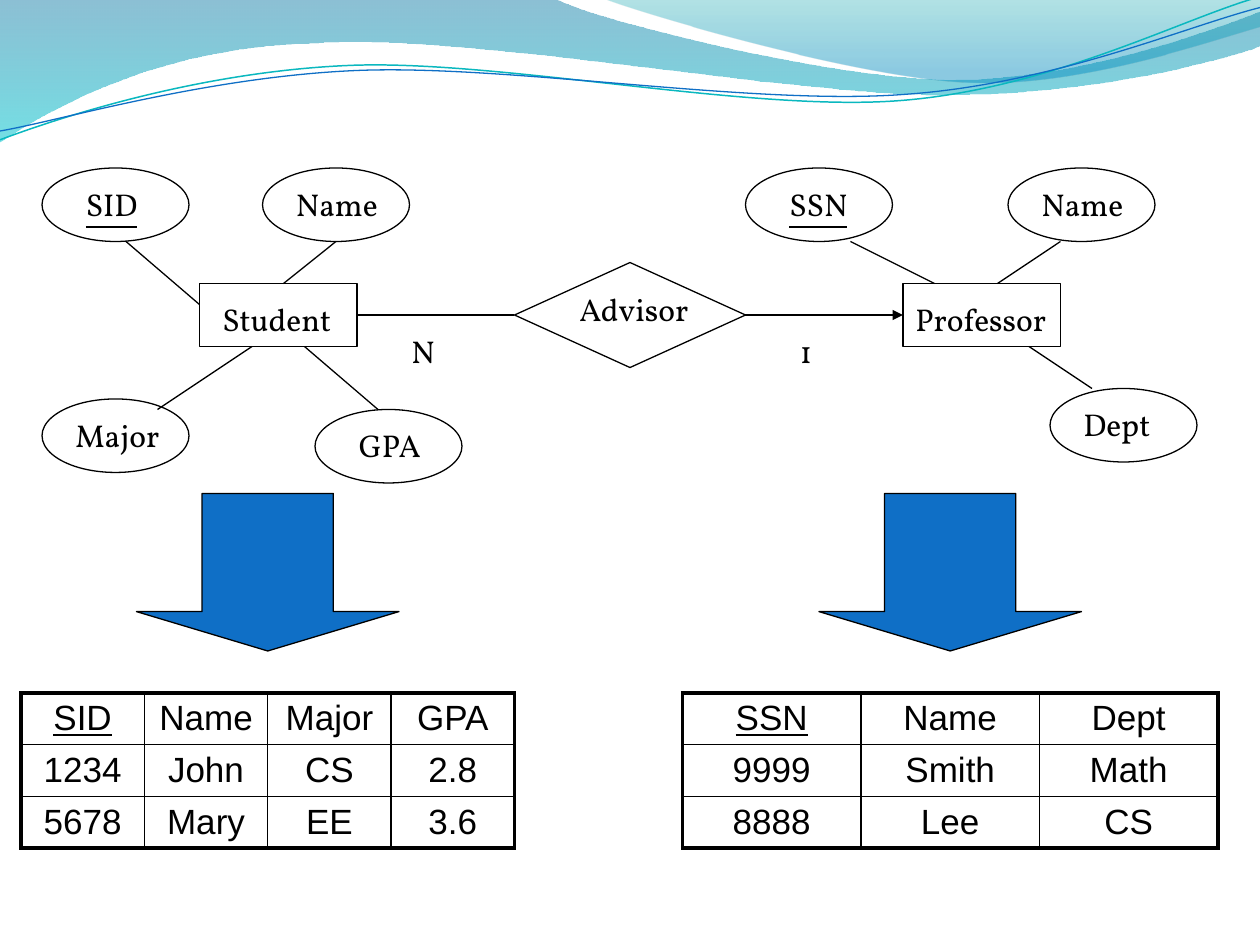
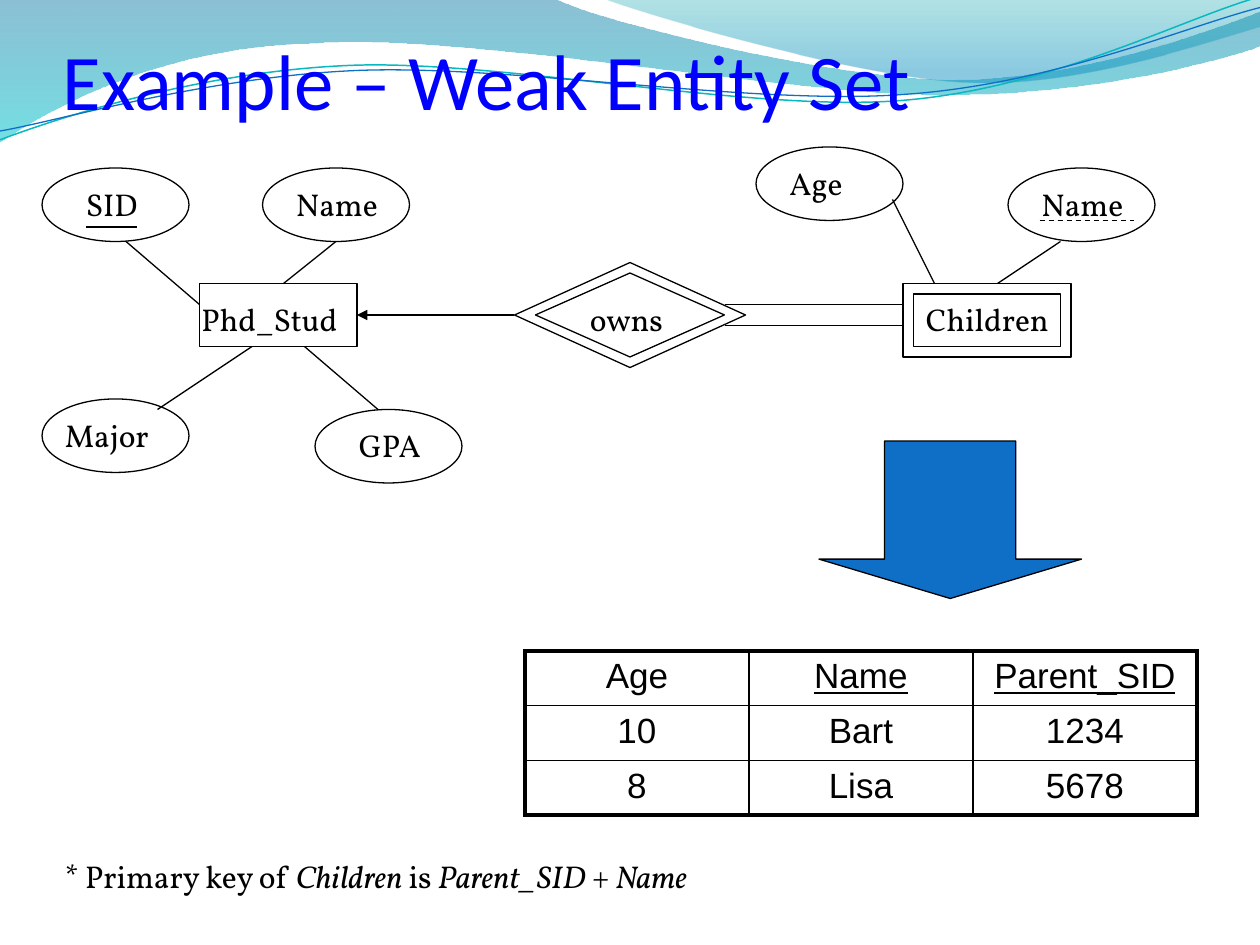
from collections import namedtuple
from lxml.etree import SubElement
from pptx import Presentation
from pptx.dml.color import RGBColor
from pptx.enum.dml import MSO_LINE
from pptx.enum.shapes import MSO_CONNECTOR, MSO_SHAPE
from pptx.enum.text import MSO_ANCHOR, MSO_AUTO_SIZE, PP_ALIGN
from pptx.oxml.ns import qn
from pptx.util import Inches, Pt

Style = namedtuple("Style", "font size color")
Theme = namedtuple("Theme", "ink paper blue teal thin thick title label cell")
theme = Theme(
    ink="000000", paper="FFFFFF", blue="0F6FC6", teal="0AB8BF",
    thin=0.75, thick=2.25,
    title=Style("Calibri", 45, "0000FF"),
    label=Style("Vollkorn", 18, "000000"),
    cell=Style("Arial", 20, "000000"),
)

waves = [
    ((0, 0), [
        (4.4, -0.01), (4.76, 0.17, 6.64, 0.63, 7.58, 0.63),
        (8.53, 0.63, 9.58, 0.26, 10, 0.09), (10.01, 0.36),
        (9.83, 0.44, 8.7, 0.76, 7.46, 0.75), (6.22, 0.75, 3.82, 0.28, 2.57, 0.34),
        (1.29, 0.36, 0.46, 0.83, -0.01, 1.13), (0, 0)],
     [(0, "0074A1", 45), (1, "00C6CF", 55)], None),
    ((4.79, -0.01), [
        (5.09, 0.11, 6.82, 0.62, 7.69, 0.65), (8.56, 0.69, 9.61, 0.32, 10, 0.21),
        (10, 0), (4.79, -0.01)],
     [(0, "00A1A9", 30), (0.8, "008BBF", 45)], None),
    ((0, 1.11), [
        (0.48, 0.93, 1.58, 0.57, 2.77, 0.52), (3.95, 0.47, 5.93, 0.89, 7.13, 0.8),
        (8.33, 0.71, 9.38, 0.15, 9.98, -0.02)],
     None, (theme.teal, 0.85)),
    ((0, 1.04), [
        (0.47, 0.96, 1.64, 0.61, 2.83, 0.56), (4.03, 0.51, 5.97, 0.84, 7.17, 0.75),
        (8.36, 0.67, 9.41, 0.21, 10, 0.06)],
     None, (theme.blue, 0.75)),
]

oval, rect = MSO_SHAPE.OVAL, MSO_SHAPE.RECTANGLE
gem, arrow = MSO_SHAPE.FLOWCHART_DECISION, MSO_SHAPE.DOWN_ARROW
egg, slab, drop = (1.17, 0.58), (1.25, 0.5), (2.08, 1.25)

shapes = [
    (rect, 1.58, 2.25, *slab), (oval, 2.08, 1.33, *egg), (oval, 0.33, 1.33, *egg),
    (oval, 0.33, 3.17, *egg), (oval, 2.5, 3.25, *egg), (gem, 4.08, 2.08, 1.83, 0.83),
    (oval, 8, 1.33, *egg),
]
lines = [
    (1, 1.92, 1.58, 2.42, ""), (2.67, 1.92, 2.25, 2.25, ""),
    (3, 3.25, 2.42, 2.75, ""), (1.25, 3.25, 2, 2.75, ""),
    (8.42, 1.92, 7.92, 2.25, ""),
]
labels = [
    (0.58, 1.42, 0.83, [("SID", "u")]), (2.25, 1.42, 0.92, [("Name", "")]),
    (2.75, 3.33, 0.75, [("GPA", "")]), (8.17, 1.42, 0.92, [("Name", "")]),
]

pages = [
    dict(
        title=None,
        shapes=[
            (arrow, 1.08, 3.92, *drop), (rect, 7.17, 2.25, *slab),
            (oval, 5.92, 1.33, *egg), (oval, 8.33, 3.08, *egg),
            (arrow, 6.5, 3.92, *drop)],
        lines=[
            (2.83, 2.5, 4.08, 2.5, ""), (5.92, 2.5, 7.17, 2.5, "arrow"),
            (6.75, 1.92, 7.42, 2.25, ""), (8.67, 3.08, 8.17, 2.75, "")],
        labels=[
            (1.67, 2.33, 1.08, [("Student", "")]), (0.5, 3.25, 1.08, [("Major", "")]),
            (4.5, 2.25, 1.08, [("Advisor", "")]), (7.17, 2.33, 1.33, [("Professor", "")]),
            (6.17, 1.42, 0.83, [("SSN", "u")]), (8.5, 3.17, 0.83, [("Dept", "")]),
            (6.25, 2.58, 0.28, [("1", "")]), (3.17, 2.58, 0.37, [("N", "")])],
        tables=[
            (0.17, 5.5, 3.92, ["SID"], [
                ("SID", "Name", "Major", "GPA"),
                ("1234", "John", "CS", "2.8"),
                ("5678", "Mary", "EE", "3.6")]),
            (5.42, 5.5, 4.25, ["SSN"], [
                ("SSN", "Name", "Dept"),
                ("9999", "Smith", "Math"),
                ("8888", "Lee", "CS")])],
    ),
    dict(
        title="Example – Weak Entity Set",
        shapes=[
            (rect, 7.17, 2.25, 1.33, 0.58), (rect, 7.25, 2.33, 1.17, 0.42),
            (oval, 6, 1.17, *egg), (gem, 4.25, 2.17, 1.5, 0.67),
            (arrow, 6.5, 3.5, *drop)],
        lines=[
            (5.75, 2.42, 7.17, 2.42, ""), (5.75, 2.58, 7.17, 2.58, ""),
            (8.25, 1.75, 9, 1.75, "dash"), (7.08, 1.58, 7.42, 2.25, ""),
            (4.08, 2.5, 2.83, 2.5, "arrow")],
        labels=[
            (1.5, 2.33, 1.42, [("Phd_Stud", "")]), (0.43, 3.25, 1, [("Major", "")]),
            (6.17, 1.25, 0.83, [("Age", "")]), (7.25, 2.33, 1.33, [("Children", "")]),
            (4.58, 2.33, 0.83, [("owns", "")]),
            (0.42, 6.75, 9.08, [
                ("* Primary key of ", ""), ("Children", "i"), (" is ", ""),
                ("Parent_SID", "i"), (" + ", ""), ("Name", "i")])],
        tables=[
            (4.17, 5.17, 5.33, ["Name", "Parent_SID"], [
                ("Age", "Name", "Parent_SID"),
                ("10", "Bart", "1234"),
                ("8", "Lisa", "5678")])],
    ),
]


def write(para, runs, style):
    for text, mark in runs:
        run = para.add_run()
        run.text = text
        font = run.font
        font.name, font.size = style.font, Pt(style.size)
        font.color.rgb = RGBColor.from_string(style.color)
        if mark == "u":
            font.underline = True
        if mark == "i":
            font.italic = True


def ink(line, color, width):
    line.color.rgb = RGBColor.from_string(color)
    line.width = Pt(width)


deck = Presentation()
deck.slide_width, deck.slide_height = Inches(10), Inches(7.5)
blank = deck.slide_layouts[6]
slides = [deck.slides.add_slide(blank) for page in pages]

for start, parts, stops, stroke in waves:
    spots = [part[n:n + 2] for part in parts for n in range(0, len(part), 2)]
    trail = slides[0].shapes.build_freeform(*map(Inches, start))
    trail.add_line_segments([tuple(map(Inches, spot)) for spot in spots], close=bool(stops))
    wave = trail.convert_to_shape()
    props = wave._element.spPr
    steps = iter(list(props.iter(qn("a:lnTo"))))
    for part in parts:
        step = next(steps)
        if len(part) == 6:
            curve = SubElement(step.getparent(), qn("a:cubicBezTo"))
            step.addprevious(curve)
            for knot in (step, next(steps), next(steps)):
                curve.append(knot[0])
                knot.getparent().remove(knot)
    wave.shadow.inherit = False
    if stops:
        wave.line.fill.background()
        wave.fill.gradient()
        wave.fill.gradient_angle = 270
        for stop, (place, color, alpha) in zip(wave.fill.gradient_stops, stops):
            stop.position = place
            stop.color.rgb = RGBColor.from_string(color)
        for tint, (place, color, alpha) in zip(props.iter(qn("a:srgbClr")), stops):
            SubElement(tint, qn("a:alpha"), val=str(alpha * 1000))
    else:
        wave.fill.background()
        ink(wave.line, *stroke)
    blank.shapes._spTree.append(wave._element)

for slide, page in zip(slides, pages):
    tree = slide.shapes

    if page["title"]:
        box = tree.add_textbox(Inches(0.5), Inches(0.17), Inches(9), Inches(0.83))
        frame = box.text_frame
        frame.word_wrap, frame.vertical_anchor = True, MSO_ANCHOR.BOTTOM
        frame.margin_left = frame.margin_right = frame.margin_bottom = 0
        write(frame.paragraphs[0], [(page["title"], "")], theme.title)

    for *box, keys, rows in page["tables"]:
        left, top, wide = [Inches(round(v * 12) / 12) for v in box]
        count = len(rows[0])
        holder = tree.add_table(len(rows), count, left, top, wide, Inches(1.3))
        grid = holder.table
        grid.first_row = grid.horz_banding = False
        for r, row in enumerate(rows):
            grid.rows[r].height = Inches(0.36)
            for c, text in enumerate(row):
                cell = grid.cell(r, c)
                if r == 1:
                    cell.fill.solid()
                    cell.fill.fore_color.rgb = RGBColor.from_string(theme.paper)
                else:
                    cell.fill.background()
                para = cell.text_frame.paragraphs[0]
                para.alignment = PP_ALIGN.CENTER
                write(para, [(text, "u" if text in keys and r == 0 else "")], theme.cell)
                props = cell._tc.get_or_add_tcPr()
                edges = (("L", c == 0), ("R", c == count - 1),
                         ("T", r == 0), ("B", r == len(rows) - 1))
                for spot, (side, outer) in enumerate(edges):
                    width = Pt(theme.thick if outer else 1)
                    edge = SubElement(props, qn("a:ln" + side), w=str(width))
                    fill = SubElement(edge, qn("a:solidFill"))
                    SubElement(fill, qn("a:srgbClr"), val=theme.ink)
                    props.insert(spot, edge)
        holder.height = Inches(1.3)

    for kind, *box in shapes + page["shapes"]:
        shape = tree.add_shape(kind, *[Inches(round(v * 12) / 12) for v in box])
        shape.shadow.inherit = False
        ink(shape.line, theme.ink, theme.thin)
        if kind == arrow:
            shape.adjustments[0], shape.adjustments[1] = 0.5, 0.25
            shape.fill.solid()
            shape.fill.fore_color.rgb = RGBColor.from_string(theme.blue)
        else:
            shape.fill.background()

    for *ends, mark in lines + page["lines"]:
        ends = [Inches(round(v * 12) / 12) for v in ends]
        link = tree.add_connector(MSO_CONNECTOR.STRAIGHT, *ends)
        ink(link.line, theme.ink, theme.thin)
        props = link._element.spPr
        if mark == "dash":
            link.line.dash_style = MSO_LINE.DASH
        if mark == "arrow":
            SubElement(props.find(qn("a:ln")), qn("a:tailEnd"), type="triangle")
        SubElement(props, qn("a:effectLst"))

    for *spot, wide, runs in labels + page["labels"]:
        left, top = [Inches(round(v * 12) / 12) for v in spot]
        box = tree.add_textbox(left, top, Inches(wide), Inches(0.4))
        frame = box.text_frame
        frame.word_wrap, frame.auto_size = True, MSO_AUTO_SIZE.SHAPE_TO_FIT_TEXT
        write(frame.paragraphs[0], runs, theme.label)

deck.save("out.pptx")
